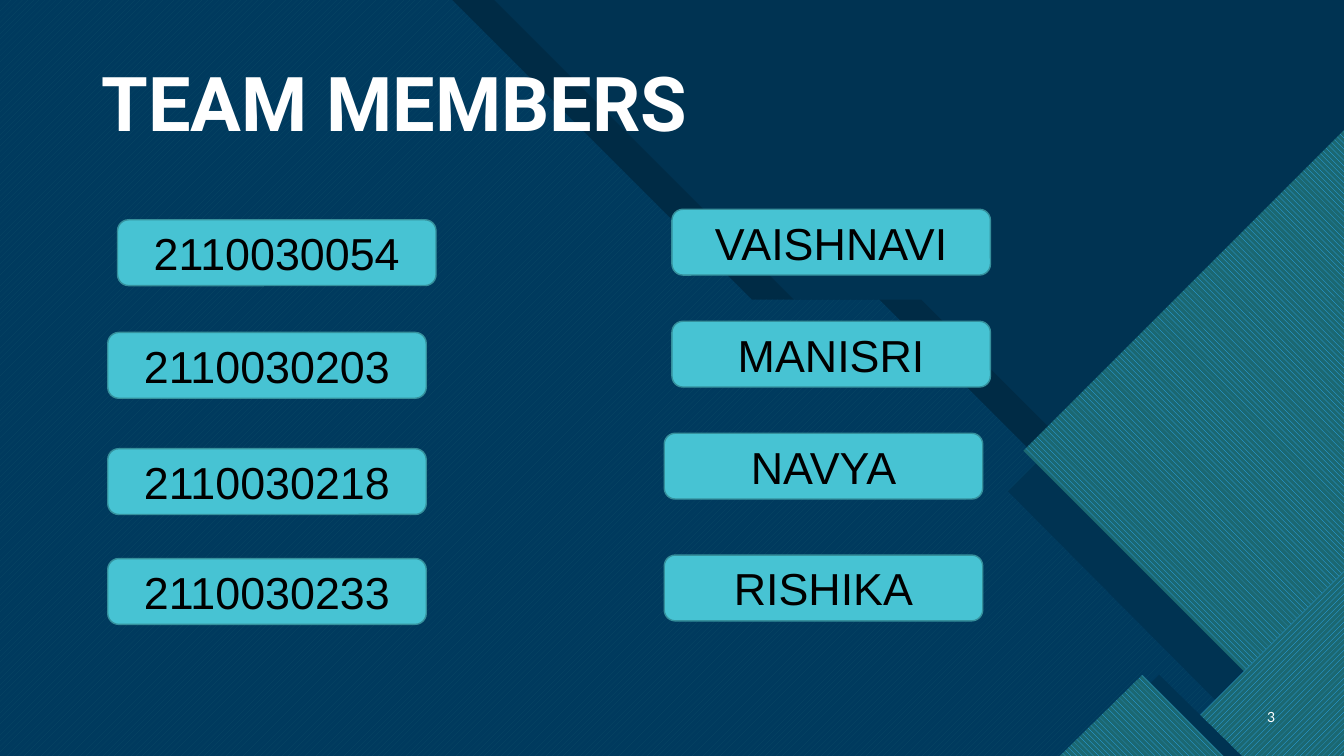
import pptx
import pptx.dml.color
import pptx.enum.dml
import pptx.enum.shapes
import pptx.enum.text
import pptx.oxml
import pptx.oxml.ns
import pptx.util
from dataclasses import dataclass

Pt = pptx.util.Pt
Align = pptx.enum.text.PP_ALIGN
Anchor = pptx.enum.text.MSO_ANCHOR
Hatch = pptx.enum.dml.MSO_PATTERN

WIDE, HIGH = 960, 540
NAVY, AQUA, TEAL, SKY = "003352", "47C3D3", "1B6872", "2FAFFF"
WHITE, BLACK = "FFFFFF", "000000"


@dataclass
class Panel:
    points: list
    fore: str
    back: str = ""
    hatch: object = None
    alpha: int = 100


@dataclass
class Card:
    text: str
    left: float
    top: float


PANELS = [
    Panel([(30, 0), (353, 0), (567, 214), (658, 214), (WIDE, 516),
           (WIDE, HIGH), (30, HIGH)], BLACK),
    Panel([(0, 0), (323, 0), (537, 214), (628, 214), (954, HIGH),
           (0, HIGH)], AQUA, "0065A4", Hatch.WIDE_UPWARD_DIAGONAL),
    Panel([(0, 0), (500, 0), (714, 214), (805, 214), (WIDE, 369),
           (WIDE, HIGH), (0, HIGH)], NAVY, alpha=85),
    Panel([(720, 351), (WIDE, 111), (WIDE, 510), (878, 510)], NAVY),
    Panel([(731, 322), (WIDE, 93), (WIDE, 531), (940, 531)],
          SKY, TEAL, Hatch.WIDE_DOWNWARD_DIAGONAL),
    Panel([(WIDE, 408), (WIDE, HIGH), (828, HIGH)],
          SKY, TEAL, Hatch.WIDE_UPWARD_DIAGONAL),
    Panel([(828, 482), (887, HIGH), (770, HIGH)], NAVY),
    Panel([(816, 482), (874, HIGH), (757, HIGH)],
          SKY, TEAL, Hatch.WIDE_DOWNWARD_DIAGONAL),
]

CARDS = [
    Card("2110030054", 84, 157),
    Card("2110030203", 77, 237.5),
    Card("2110030218", 77, 320.5),
    Card("2110030233", 77, 399),
    Card("VAISHNAVI", 480, 149.5),
    Card("MANISRI", 480, 229.5),
    Card("NAVYA", 474.5, 309.5),
    Card("RISHIKA", 474.5, 396.5),
]


def paint(color: pptx.dml.color.ColorFormat, code: str) -> None:
    color.rgb = pptx.dml.color.RGBColor.from_string(code)


def solid(fill: pptx.dml.fill.FillFormat, code: str) -> None:
    fill.solid()
    paint(fill.fore_color, code)


def write(frame: pptx.text.text.TextFrame, text: str, font: str, size: float,
          code: str, align: Align, anchor: Anchor, bold: bool = False) -> None:
    frame.text = text
    frame.word_wrap = True
    frame.vertical_anchor = anchor
    line = frame.paragraphs[0]
    line.alignment = align
    style = line.runs[0].font
    style.name, style.size, style.bold = font, Pt(size), bold
    paint(style.color, code)


def draw_panel(slide: pptx.slide.Slide, panel: Panel) -> None:
    spots = [(Pt(x), Pt(y)) for x, y in panel.points]
    pen = slide.shapes.build_freeform(*spots[0])
    pen.add_line_segments(spots[1:], close=True)
    shape = pen.convert_to_shape()
    shape.shadow.inherit = False
    shape.line.fill.background()
    if panel.hatch is None:
        solid(shape.fill, panel.fore)
    else:
        shape.fill.patterned()
        shape.fill.pattern = panel.hatch
        paint(shape.fill.fore_color, panel.fore)
        paint(shape.fill.back_color, panel.back)
    if panel.alpha < 100:
        tint = shape._element.spPr.find(".//" + pptx.oxml.ns.qn("a:srgbClr"))
        alpha = pptx.oxml.parse_xml(
            f'<a:alpha {pptx.oxml.ns.nsdecls("a")} val="{panel.alpha * 1000}"/>')
        tint.append(alpha)


def draw_card(slide: pptx.slide.Slide, card: Card) -> None:
    kind = pptx.enum.shapes.MSO_SHAPE.ROUNDED_RECTANGLE
    shape = slide.shapes.add_shape(
        kind, Pt(card.left), Pt(card.top), Pt(227.5), Pt(47))
    shape.shadow.inherit = False
    solid(shape.fill, AQUA)
    paint(shape.line.color, "35909C")
    shape.line.width = Pt(1)
    write(shape.text_frame, card.text, "Arial", 32, BLACK,
          Align.CENTER, Anchor.MIDDLE)


def main() -> None:
    deck = pptx.Presentation()
    deck.slide_width, deck.slide_height = Pt(WIDE), Pt(HIGH)
    slide = deck.slides.add_slide(deck.slide_layouts[5])
    solid(slide.background.fill, NAVY)

    for panel in PANELS:
        draw_panel(slide, panel)

    title = slide.shapes.title
    slide.shapes._spTree.append(title._element)
    title.left, title.top = Pt(65.5), Pt(41)
    title.width, title.height = Pt(613), Pt(68)
    write(title.text_frame, "TEAM MEMBERS", "Roboto", 54, WHITE,
          Align.LEFT, Anchor.BOTTOM, True)
    title.text_frame.paragraphs[0].line_spacing = 0.9

    page = slide.shapes.add_textbox(Pt(886), Pt(497.5), Pt(32), Pt(29))
    write(page.text_frame, "3", "Lato", 10, WHITE, Align.RIGHT, Anchor.MIDDLE)

    for card in CARDS:
        draw_card(slide, card)

    deck.save("out.pptx")


if __name__ == "__main__":
    main()
